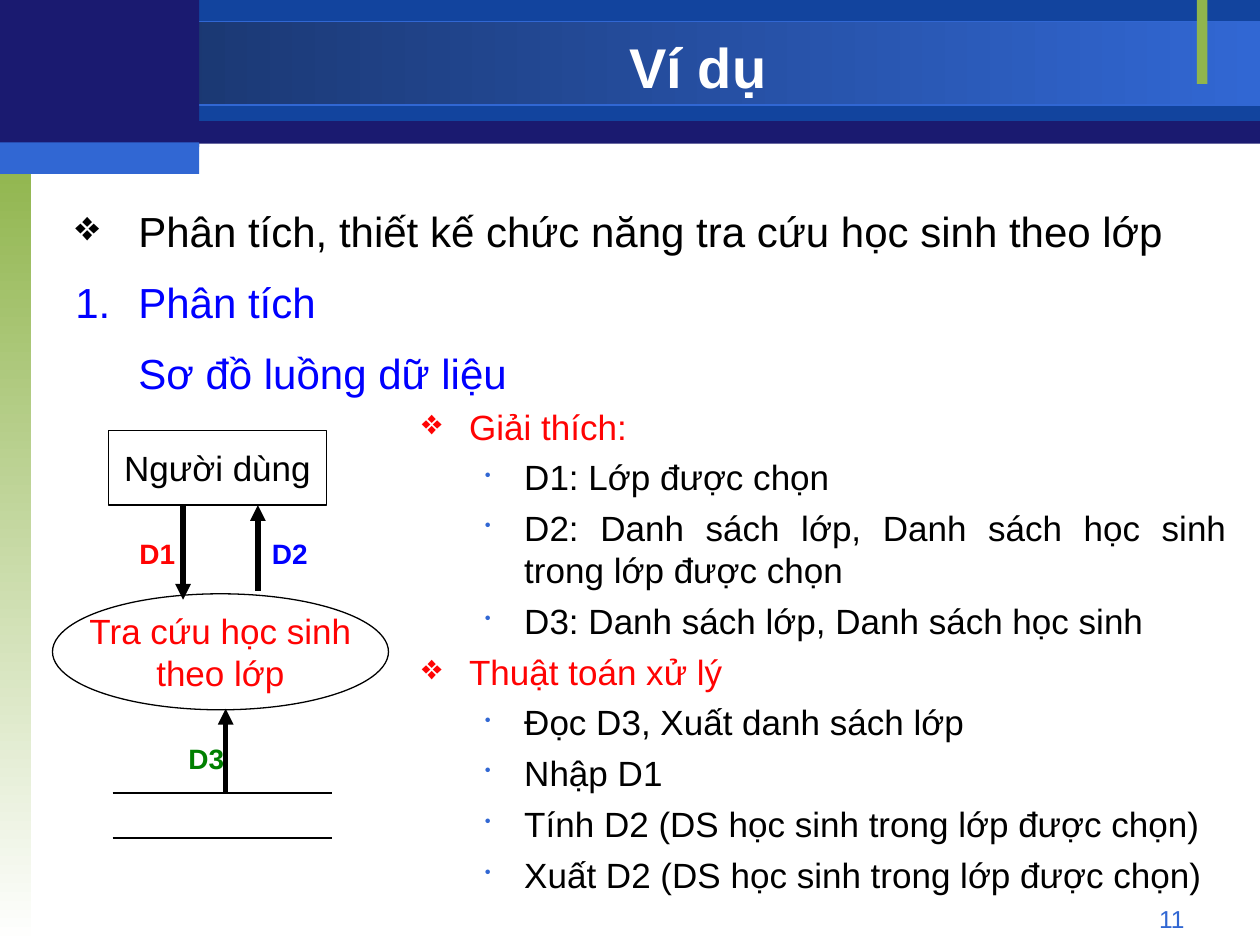
"""Build the slide that analyses looking up students by class."""
from dataclasses import dataclass

from pptx import Presentation
from pptx.dml.color import RGBColor
from pptx.enum.shapes import MSO_CONNECTOR as Conn, MSO_SHAPE as Shp
from pptx.enum.text import MSO_ANCHOR as Anchor, MSO_AUTO_SIZE as Auto, PP_ALIGN as Al
from pptx.oxml.ns import qn
from pptx.util import Pt
from lxml.etree import SubElement


@dataclass(frozen=True)
class Theme:
    font: str = "Arial"
    navy: str = "1A1A70"
    band: str = "12449E"
    deep: str = "173062"
    blue: str = "3167D3"
    lime: str = "90B54D"
    white: str = "FFFFFF"
    black: str = "000000"
    red: str = "FF0303"
    link: str = "0000FF"
    green: str = "008000"
    title: int = 32
    body: int = 24
    detail: int = 20
    label: int = 16
    number: int = 14
    thin: float = 0.75
    thick: float = 3


class Deck:
    def __init__(self, prs, theme):
        self.t = theme
        self.s = prs.slides.add_slide(prs.slide_layouts[5])

    def style(self, p, size, color, bold=False, align=Al.LEFT):
        p.alignment = align
        for r in p.runs:
            f = r.font
            f.name, f.size, f.bold = self.t.font, Pt(size), bold
            f.color.rgb = RGBColor.from_string(color)

    def title(self, text, box):
        sp = self.s.shapes.title
        sp.left, sp.top, sp.width, sp.height = map(Pt, box)
        tf = sp.text_frame
        tf.text = text
        tf.vertical_anchor, tf.auto_size = Anchor.MIDDLE, Auto.NONE
        self.style(tf.paragraphs[0], self.t.title, self.t.white, True, Al.CENTER)
        self.s.shapes.element.append(sp.element)

    def shape(self, kind, box, fill=None, line=None):
        sp = self.s.shapes.add_shape(kind, *map(Pt, box))
        sp.shadow.inherit = False
        if fill is None:
            sp.fill.background()
        else:
            sp.fill.solid()
            sp.fill.fore_color.rgb = RGBColor.from_string(fill)
        if line is None:
            sp.line.fill.background()
        else:
            sp.line.color.rgb = RGBColor.from_string(line)
            sp.line.width = Pt(self.t.thin)
        return sp

    def gradient(self, box, start, end, angle, line=None):
        sp = self.shape(Shp.RECTANGLE, box, start, line)
        sp.fill.gradient()
        sp.fill.gradient_angle = angle
        for stop, color, pos in zip(sp.fill.gradient_stops, (start, end), (0, 1)):
            stop.color.rgb = RGBColor.from_string(color)
            stop.position = pos

    def node(self, kind, box, text, color):
        tf = self.shape(kind, box, line=self.t.black).text_frame
        tf.text = text
        tf.word_wrap, tf.vertical_anchor = False, Anchor.MIDDLE
        for p in tf.paragraphs:
            self.style(p, self.t.detail, color, align=Al.CENTER)

    def line(self, x1, y1, x2, y2, width, arrow=False):
        c = self.s.shapes.add_connector(Conn.STRAIGHT, *map(Pt, (x1, y1, x2, y2)))
        c.line.color.rgb = RGBColor.from_string(self.t.black)
        c.line.width = Pt(width)
        if arrow:
            SubElement(c.line._get_or_add_ln(), qn("a:tailEnd"), type="triangle")
        SubElement(c.element.spPr, qn("a:effectLst"))

    def frame(self, box, wrap=True):
        tf = self.s.shapes.add_textbox(*map(Pt, box)).text_frame
        tf.word_wrap, tf.auto_size = wrap, Auto.NONE
        return tf

    def label(self, box, text, size, color, bold=False, align=Al.LEFT, wrap=False):
        tf = self.frame(box, wrap)
        tf.text = text
        self.style(tf.paragraphs[0], size, color, bold, align)

    def bullet(self, p, mark, color, scale=100):
        ppr = p._p.get_or_add_pPr()
        SubElement(SubElement(ppr, qn("a:buClr")), qn("a:srgbClr"), val=color)
        SubElement(ppr, qn("a:buSzPct"), val=str(scale * 1000))
        if mark == "1.":
            SubElement(ppr, qn("a:buAutoNum"), type="arabicPeriod")
        else:
            SubElement(ppr, qn("a:buChar"), char=mark)

    def items(self, box, rows, size, before, spacing, indents):
        tf = self.frame(box)
        for i, (text, level, mark, color) in enumerate(rows):
            p = tf.paragraphs[0] if i == 0 else tf.add_paragraph()
            p.text, p.level = text, level
            p.space_before, p.line_spacing = Pt(before), spacing
            self.style(p, size, color, align=Al.JUSTIFY)
            margin, hang = indents[level]
            ppr = p._p.get_or_add_pPr()
            ppr.set("marL", str(Pt(margin)))
            ppr.set("indent", str(Pt(-hang if mark else 0)))
            if mark and level:
                self.bullet(p, mark, self.t.blue, 50)
            elif mark:
                self.bullet(p, mark, color)


def main():
    prs = Presentation()
    prs.slide_width, prs.slide_height = Pt(720), Pt(540)
    t = Theme()
    d = Deck(prs, t)

    d.shape(Shp.RECTANGLE, (0, 0.7, 720, 81.4), t.navy)
    d.shape(Shp.RECTANGLE, (113.8, 0, 606.2, 69.1), t.band)
    d.gradient((0, 12.2, 720, 47.8), t.deep, t.blue, 0, t.blue)
    d.gradient((0, 90, 18, 450), t.lime, t.white, 270)
    for box, color in (((684, 0, 6, 48), t.lime), ((0, 0, 113.8, 84), t.navy),
                       ((0, 81.4, 113.8, 18), t.blue)):
        d.shape(Shp.RECTANGLE, box, color)
    d.label((516, 513, 168, 19.5), "11", t.number, t.blue, align=Al.RIGHT, wrap=True)
    d.title("Ví dụ", (113.8, 16.5, 570.2, 42))

    d.items((36, 108, 648, 396), (
        ("Phân tích, thiết kế chức năng tra cứu học sinh theo lớp", 0, "❖", t.black),
        ("Phân tích", 0, "1.", t.link),
        ("Sơ đồ luồng dữ liệu", 0, None, t.link),
    ), t.body, 6, 1.2, [(36, 36)])

    d.node(Shp.RECTANGLE, (62, 246, 124.6, 42.7), "Người dùng", t.black)
    d.node(Shp.OVAL, (30, 339.3, 192, 66.3), "Tra cứu học sinh\ntheo lớp", t.red)
    for y in (453.1, 478.9):
        d.line(64.4, y, 189.8, y, t.thin)
    for x, y1, y2 in ((104.6, 288.7, 342.7), (147.4, 337.5, 288.7), (129, 452.4, 405)):
        d.line(x, y1, x, y2, t.thick, arrow=True)
    for text, x, y, color in (("D1", 72.6, 303.2, t.red), ("D2", 148.3, 303.2, t.link),
                              ("D3", 100.6, 420.4, t.green)):
        d.label((x, y, 34.6, 26.6), text, t.label, color, bold=True)

    groups = (
        ("Giải thích:", (
            "D1: Lớp được chọn",
            "D2: Danh sách lớp, Danh sách học sinh trong lớp được chọn",
            "D3: Danh sách lớp, Danh sách học sinh")),
        ("Thuật toán xử lý", (
            "Đọc D3, Xuất danh sách lớp",
            "Nhập D1",
            "Tính D2 (DS học sinh trong lớp được chọn)",
            "Xuất D2 (DS học sinh trong lớp được chọn)")),
    )
    rows = []
    for head, points in groups:
        rows.append((head, 0, "❖", t.red))
        rows += [(point, 1, "•", t.black) for point in points]
    d.items((234, 228, 474, 294), rows, t.detail, 5, 1.0, [(27, 27), (58.5, 22.5)])

    prs.save("out.pptx")


if __name__ == "__main__":
    main()
